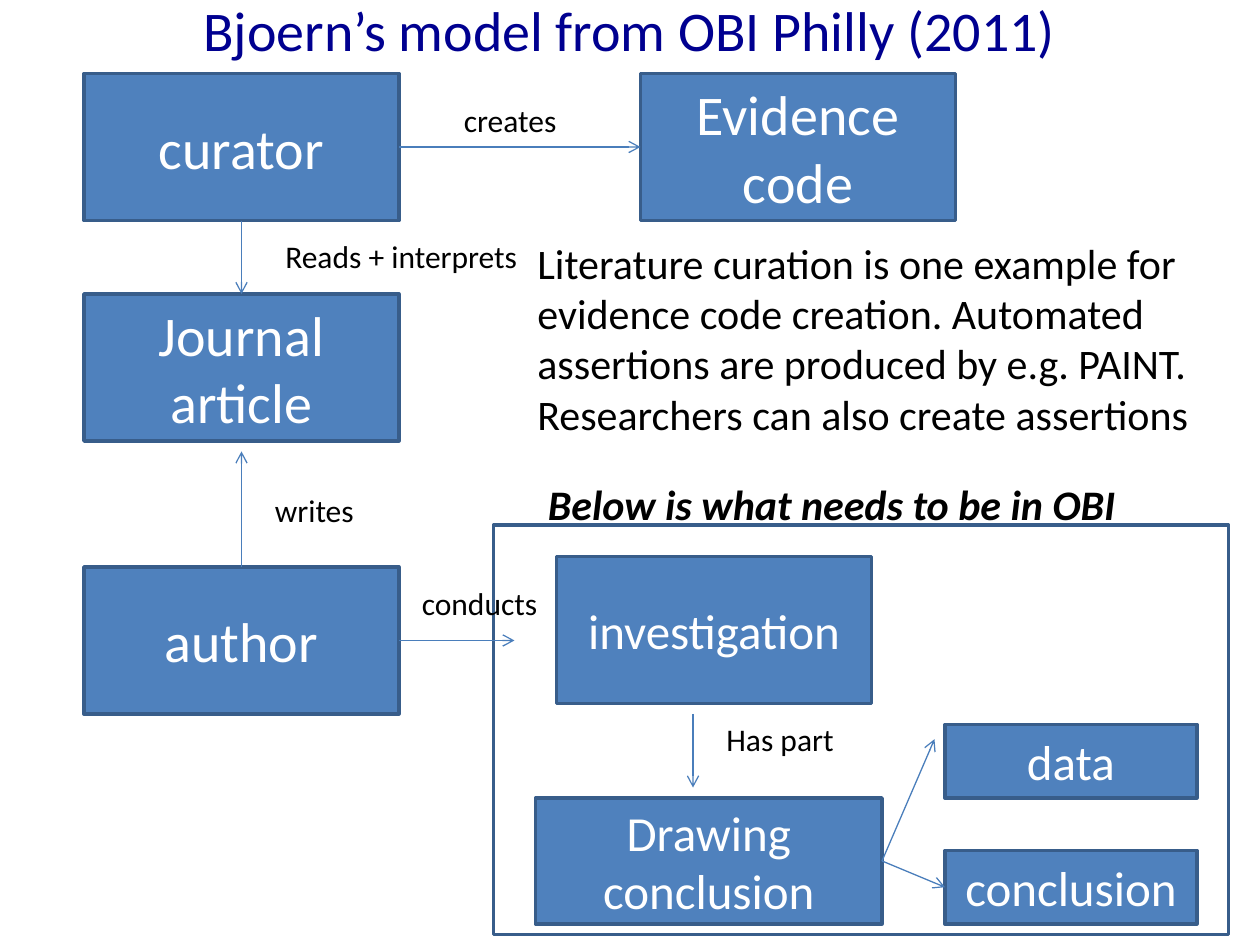
from dataclasses import dataclass
from lxml.etree import SubElement
from pptx import Presentation
from pptx.dml.color import RGBColor
from pptx.enum.shapes import MSO_CONNECTOR, MSO_SHAPE
from pptx.enum.text import MSO_ANCHOR, MSO_AUTO_SIZE, PP_ALIGN
from pptx.oxml.ns import qn
from pptx.util import Emu, Pt

SCALE = 7620  # EMU in one px, 120 px to the inch


@dataclass(frozen=True)
class Theme:
    font: str = "Calibri"
    title: str = "000090"
    ink: str = "000000"
    paper: str = "FFFFFF"
    fill: str = "4F81BD"
    edge: str = "385D8A"
    arrow: str = "4A7EBB"
    big: int = 32
    mid: int = 28
    body: int = 24
    small: int = 18


THEME = Theme()


def px(*vals):
    return [Emu(val * SCALE) for val in vals]


def style(frame, size, color, align=PP_ALIGN.LEFT, strong=False):
    frame.word_wrap = True
    for para in frame.paragraphs:
        para.alignment = align
        font = para.font
        font.name, font.size = THEME.font, Pt(size)
        font.color.rgb = RGBColor.from_string(color)
        if strong:
            font.bold = font.italic = True


def add_box(slide, left, top, width, height, fill, text="", size=THEME.big):
    box = slide.shapes.add_shape(MSO_SHAPE.RECTANGLE, *px(left, top, width, height))
    box.shadow.inherit = False
    box.fill.solid()
    box.fill.fore_color.rgb = RGBColor.from_string(fill)
    box.line.color.rgb = RGBColor.from_string(THEME.edge)
    box.line.width = Pt(2)
    if text:
        frame = box.text_frame
        frame.text = text
        frame.vertical_anchor = MSO_ANCHOR.MIDDLE
        style(frame, size, THEME.paper, PP_ALIGN.CENTER)


def add_text(slide, left, top, width, height, text, size=THEME.small, strong=False):
    frame = slide.shapes.add_textbox(*px(left, top, width, height)).text_frame
    frame.text = text
    style(frame, size, THEME.ink, strong=strong)


def add_arrow(slide, x1, y1, x2, y2):
    line = slide.shapes.add_connector(MSO_CONNECTOR.STRAIGHT, *px(x1, y1, x2, y2))
    line.line.color.rgb = RGBColor.from_string(THEME.arrow)
    line.line.width = Pt(0.75)
    SubElement(line.line._get_or_add_ln(), qn("a:tailEnd"), type="arrow")
    SubElement(line._element.spPr, qn("a:effectLst"))


def add_title(slide, left, top, width, height):
    title = slide.shapes.title
    title.left, title.top, title.width, title.height = px(left, top, width, height)
    frame = title.text_frame
    frame.text = "Bjoern’s model from OBI Philly (2011)"
    frame.auto_size = MSO_AUTO_SIZE.NONE
    frame.vertical_anchor = MSO_ANCHOR.TOP
    style(frame, THEME.big, THEME.title, PP_ALIGN.CENTER)


def add_scope(slide, left, top, width, height):
    """Frame the part of the model that belongs in OBI, under its heading."""
    add_box(slide, left, top, width, height, THEME.paper)
    add_text(slide, left + 40, top - 50, width - 70, 60,
             "Below is what needs to be in OBI", THEME.body, strong=True)
    for x, y, wide, high, text in (
        (60, 30, 300, 140, "investigation"),
        (40, 260, 330, 120, "Drawing conclusion"),
        (430, 190, 240, 70, "data"),
        (430, 310, 240, 70, "conclusion"),
    ):
        add_box(slide, left + x, top + y, wide, high, THEME.fill, text, THEME.mid)
    for x1, y1, x2, y2 in (
        (190, 180, 190, 250), (370, 320, 420, 204), (370, 320, 430, 345),
    ):
        add_arrow(slide, left + x1, top + y1, left + x2, top + y2)
    add_text(slide, left + 210, top + 180, 210, 48, "Has part")


def add_flow(slide, left, top, width, height):
    """Place the people and papers; width and height are those of one node."""
    mid, half = width // 2, height // 2
    journal, author, code = 210, 470, 530
    for x, y, text in (
        (0, 0, "curator"), (code, 0, "Evidence code"),
        (0, journal, "Journal article"), (0, author, "author"),
    ):
        add_box(slide, left + x, top + y, width, height, THEME.fill, text)
    for x1, y1, x2, y2 in (
        (width, half, code, half),
        (mid, height, mid, journal),
        (mid, author, mid, journal + height + 10),
        (width, author + half, width + 110, author + half),
    ):
        add_arrow(slide, left + x1, top + y1, left + x2, top + y2)
    for x, y, text in (
        (350, 20, "creates"), (180, 150, "Reads + interprets"),
        (170, 392, "writes"), (310, 480, "conducts"),
    ):
        add_text(slide, left + x, top + y, width, 48, text)


def add_note(slide, left, top, width, height):
    add_text(slide, left, top, width, height,
             "Literature curation is one example for evidence code creation. "
             "Automated assertions are produced by e.g. PAINT.\n"
             "Researchers can also create assertions", THEME.body)


def main():
    deck = Presentation()
    deck.slide_width, deck.slide_height = px(1200, 900)
    slide = deck.slides.add_slide(deck.slide_layouts[5])
    add_title(slide, 0, -10, 1200, 88)
    add_scope(slide, 470, 500, 700, 390)
    add_flow(slide, 80, 70, 300, 140)
    add_note(slide, 500, 220, 700, 204)
    deck.save("out.pptx")


if __name__ == "__main__":
    main()
